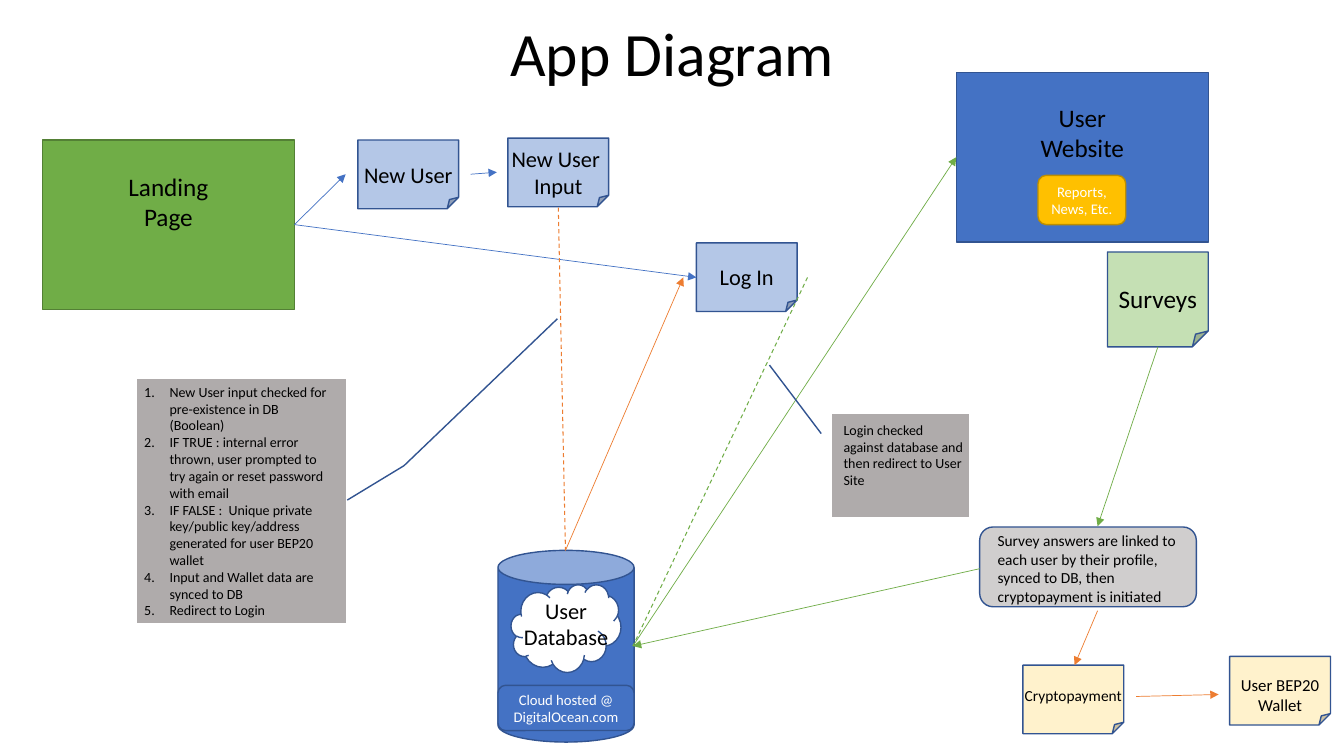
import pptx
import pptx.dml.color
import pptx.enum.dml
import pptx.enum.shapes
import pptx.enum.text
import pptx.oxml.ns
import pptx.oxml.xmlchemy
import pptx.util

Cm, Pt = pptx.util.Cm, pptx.util.Pt
RGB = pptx.dml.color.RGBColor
MSO = pptx.enum.shapes.MSO_SHAPE
ALIGN = pptx.enum.text.PP_ALIGN
ANCHOR = pptx.enum.text.MSO_ANCHOR
qn = pptx.oxml.ns.qn
OxmlElement = pptx.oxml.xmlchemy.OxmlElement

FONT = "Calibri"
BLACK, WHITE = RGB(0, 0, 0), RGB(0xFF, 0xFF, 0xFF)
BLUE, NAVY, PALE_BLUE = RGB(0x44, 0x72, 0xC4), RGB(0x32, 0x54, 0x91), RGB(0xB4, 0xC7, 0xE7)
GREEN, DARK_GREEN, PALE_GREEN = RGB(0x70, 0xAD, 0x47), RGB(0x53, 0x80, 0x35), RGB(0xC5, 0xE0, 0xB4)
GOLD, DARK_GOLD, CREAM = RGB(0xFF, 0xC0, 0), RGB(0xBD, 0x8E, 0), RGB(0xFF, 0xF2, 0xCC)
ORANGE, GREY, PALE_GREY = RGB(0xED, 0x7D, 0x31), RGB(0xAF, 0xAB, 0xAB), RGB(0xD0, 0xCE, 0xCE)

# Content; all lengths in cm
TITLE = "App Diagram"
TITLE_BOX = (2.34, 0.43, 29.21, 1.98)
PAGE, NOTE = (6.35, 4.27), (2.54, 1.73)
LABEL_W = 3.15

# preset, left, top, size, fill, outline
PLAIN_SHAPES = [
    (MSO.CAN, 12.55, 13.87, (3.43, 4.83), BLUE, NAVY),
    (MSO.ROUNDED_RECTANGLE, 24.69, 13.28, (5.46, 2.01), PALE_GREY, NAVY),
]
# shape as above, then label lines, text size, label drop from the shape top, label height
LABELLED_SHAPES = [
    ((MSO.RECTANGLE, 1.07, 3.53, PAGE, GREEN, DARK_GREEN), ["Landing Page"], 18, 0.66, 1.8),
    ((MSO.RECTANGLE, 24.1, 1.83, PAGE, BLUE, NAVY), ["User Website"], 18, 0.63, 1.8),
    ((MSO.FOLDED_CORNER, 27.91, 6.35, (2.54, 2.39), PALE_GREEN, NAVY), ["Surveys"], 18, 0.66, 1.02),
    ((MSO.FOLDED_CORNER, 17.55, 6.12, NOTE, PALE_BLUE, NAVY), ["Log In"], 16, 0.38, 0.94),
    ((MSO.FOLDED_CORNER, 9.02, 3.53, NOTE, PALE_BLUE, NAVY), ["New User"], 16, 0.41, 0.94),
    ((MSO.FOLDED_CORNER, 12.8, 3.48, NOTE, PALE_BLUE, NAVY), ["New User ", "Input"], 16, 0.05, 1.63),
    ((MSO.FOLDED_CORNER, 30.99, 16.54, NOTE, CREAM, NAVY), ["User BEP20 Wallet"], 12, 0.33, 1.27),
    ((MSO.FOLDED_CORNER, 25.78, 16.76, NOTE, CREAM, NAVY), ["Cryptopayment"], 11, 0.41, 0.74),
    ((MSO.CLOUD, 12.88, 14.73, (2.77, 2.21), WHITE, NAVY), ["User Database"], 16, 0.18, 1.63),
]
# shape as above, then its own text
BADGES = [
    ((MSO.ROUNDED_RECTANGLE, 26.16, 4.42, (2.21, 1.24), GOLD, DARK_GOLD), "Reports, News, Etc."),
    ((MSO.ROUNDED_RECTANGLE, 12.55, 17.27, (3.43, 1.14), BLUE, NAVY), "Cloud hosted @ DigitalOcean.com"),
]
# shape as above, then rotation and leader adjustments
CALLOUTS = [
    ((MSO.LINE_CALLOUT_2_NO_BORDER, 3.45, 9.55, (5.26, 6.15), GREY, NAVY), 180,
     (0.504, -0.008, 0.645, -0.28, 1.247, -1.015)),
    ((MSO.LINE_CALLOUT_1_NO_BORDER, 20.98, 10.44, (3.43, 2.59), GREY, NAVY), 0,
     (0.188, -0.083, -0.479, -0.463)),
]
REMARKS = [
    ((21.01, 10.49, 3.53, 1.96), 10,
     "Login checked against database and then redirect to User Site"),
    ((24.89, 13.26, 5.56, 2.13), 11,
     "Survey answers are linked to each user by their profile, synced to DB, "
     "then cryptopayment is initiated"),
]
STEPS_BOX = (3.38, 9.53, 5.33, 6.25)
STEPS = [
    "New User input checked for pre-existence in DB (Boolean)",
    "IF TRUE : internal error thrown, user prompted to try again or reset password with email",
    "IF FALSE :  Unique private key/public key/address generated for user BEP20 wallet",
    "Input and Wallet data are synced to DB",
    "Redirect to Login",
]

# Points shared by several lines
LANDING_EXIT, DB_TOP, DB_SIDE = (7.42, 5.66), (14.25, 13.87), (15.95, 16.28)
ARROWS = [
    (LANDING_EXIT, (8.71, 4.39), BLUE),
    (LANDING_EXIT, (17.55, 6.99), BLUE),
    ((11.86, 4.39), (12.52, 4.34), BLUE),
    (DB_TOP, (17.22, 6.99), ORANGE),
    (DB_SIDE, (24.1, 3.96), GREEN),
    ((29.18, 8.74), (27.66, 13.26), GREEN),
    ((27.66, 15.39), (27.08, 16.76), ORANGE),
    ((28.63, 17.55), (30.71, 17.5), ORANGE),
    ((24.69, 14.33), DB_SIDE, GREEN),
]
DASHED_LINES = [
    ((14.07, 5.23), DB_TOP, ORANGE),
    ((20.35, 6.99), DB_SIDE, GREEN),
]

prs = pptx.Presentation()
prs.slide_width, prs.slide_height = Cm(33.87), Cm(19.05)
slide = prs.slides.add_slide(prs.slide_layouts[1])
shapes = slide.shapes


def place(sp, box):
    sp.left, sp.top, sp.width, sp.height = map(Cm, box)


def write(tf, lines, size, color=BLACK, align=ALIGN.CENTER):
    tf.word_wrap = True
    for i, line in enumerate(lines):
        p = tf.paragraphs[0] if i == 0 else tf.add_paragraph()
        p.alignment = align
        r = p.add_run()
        r.text = line
        r.font.name, r.font.size = FONT, Pt(size)
        r.font.color.rgb = color


def add_shape(preset, left, top, size, fill, outline):
    sp = shapes.add_shape(preset, Cm(left), Cm(top), *map(Cm, size))
    sp.shadow.inherit = False
    sp.fill.solid()
    sp.fill.fore_color.rgb = fill
    sp.line.color.rgb = outline
    sp.line.width = Pt(1)
    return sp


def add_text(box, lines, size, align=ALIGN.CENTER):
    sp = shapes.add_textbox(*map(Cm, box))
    write(sp.text_frame, lines, size, align=align)


def add_line(start, end, color, dashed=False):
    line = shapes.add_connector(pptx.enum.shapes.MSO_CONNECTOR.STRAIGHT,
                                *map(Cm, start + end))
    line.line.color.rgb = color
    line.line.width = Pt(0.75 if dashed else 0.5)
    spPr = line._element.spPr
    if dashed:
        line.line.dash_style = pptx.enum.dml.MSO_LINE.DASH
    else:
        head = OxmlElement("a:tailEnd")
        head.set("type", "triangle")
        spPr.find(qn("a:ln")).append(head)
    spPr.append(OxmlElement("a:effectLst"))


# Title
title = shapes.title
place(title, TITLE_BOX)
title.text_frame.vertical_anchor = ANCHOR.MIDDLE
write(title.text_frame, [TITLE], 44)
title.text_frame.paragraphs[0].line_spacing = 0.9

# Shapes, with labels centred across them
for shape in PLAIN_SHAPES:
    add_shape(*shape)
for shape, lines, size, drop, height in LABELLED_SHAPES:
    add_shape(*shape)
    left, top, (width, _) = shape[1:4]
    add_text((left + (width - LABEL_W) / 2, top + drop, LABEL_W, height), lines, size)
for shape, text in BADGES:
    tf = add_shape(*shape).text_frame
    tf.vertical_anchor = ANCHOR.MIDDLE
    write(tf, [text], 10.5, WHITE)

# Arrows and dashed lines
for arrow in ARROWS:
    add_line(*arrow)
for dashed in DASHED_LINES:
    add_line(*dashed, dashed=True)

# Callouts and remarks
for shape, rotation, adjustments in CALLOUTS:
    sp = add_shape(*shape)
    sp.rotation = rotation
    for i, value in enumerate(adjustments):
        sp.adjustments[i] = value
for box, size, text in REMARKS:
    add_text(box, [text], size, ALIGN.LEFT)

# Numbered steps, brought in front of their callout
steps = slide.placeholders[1]
place(steps, STEPS_BOX)
steps.text_frame.auto_size = pptx.enum.text.MSO_AUTO_SIZE.NONE
write(steps.text_frame, STEPS, 10, align=ALIGN.LEFT)
for p in steps.text_frame.paragraphs:
    p.space_before = Pt(0)
    pPr = p._p.get_or_add_pPr()
    pPr.set("marL", str(int(Cm(0.64))))
    pPr.set("indent", str(-int(Cm(0.64))))
    number = OxmlElement("a:buAutoNum")
    number.set("type", "arabicPeriod")
    pPr.append(number)
shapes._spTree.append(steps._element)

prs.save("out.pptx")
